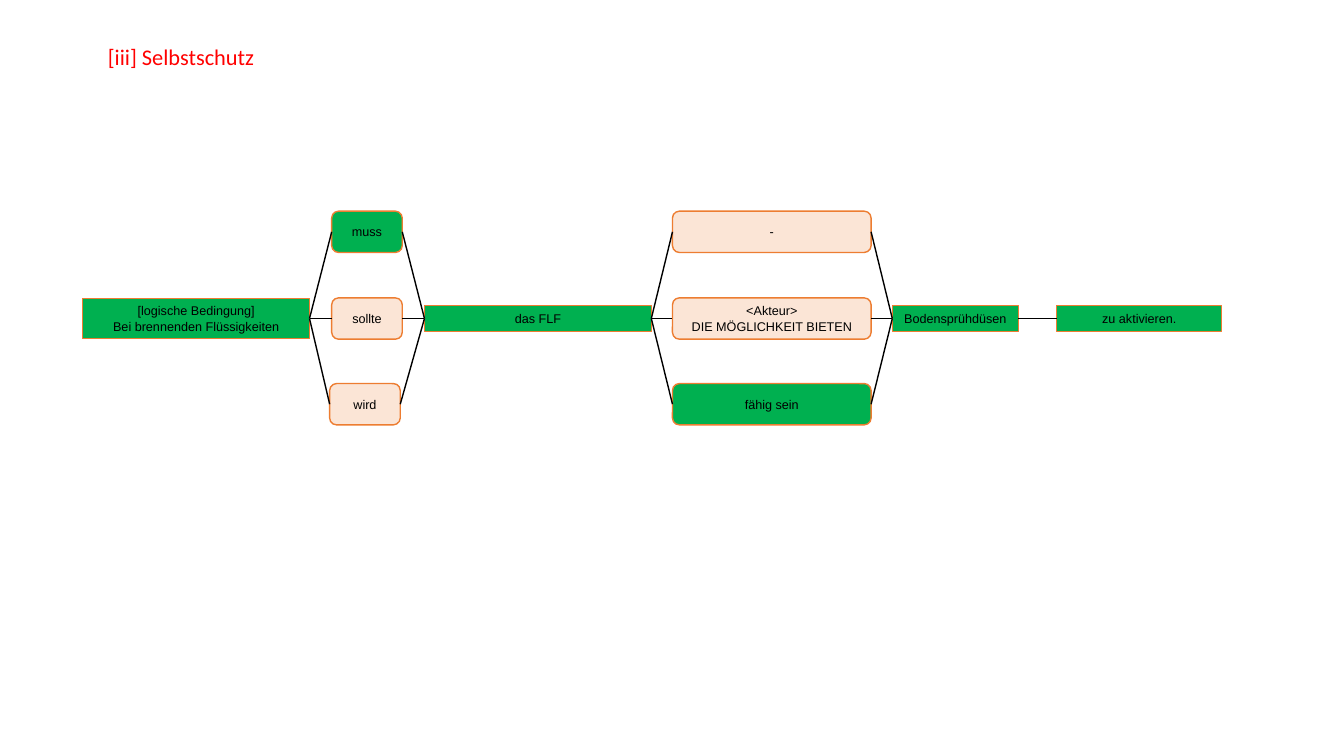
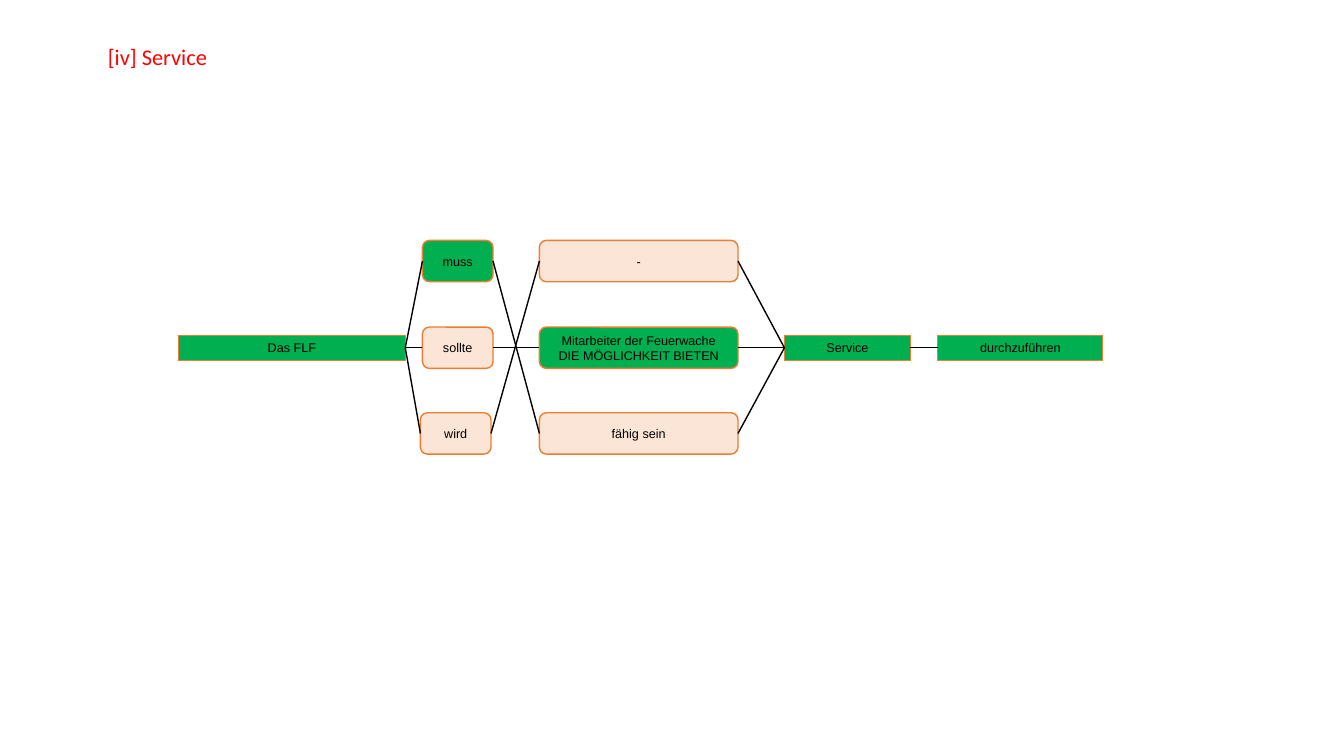
"""Build two sentence-template diagrams for requirements."""
from itertools import product
from lxml import etree
from pptx import Presentation
from pptx.dml.color import RGBColor
from pptx.enum import shapes, text
from pptx.oxml import ns
from pptx.util import Inches, Pt

GREEN, PEACH, ORANGE, BLACK, RED = "00B050", "FBE5D6", "ED7D31", "000000", "FF0000"
ROWS = (-0.86, 0, 0.85)
HIGH = 0.41
TITLE = dict(left=0.92, top=0.4, width=11.5, height=0.35)
HEAD = dict(name="Calibri", size=Pt(16), bold=False)
BODY = dict(name="Arial", size=Pt(9))
MODAL = ("muss", "sollte", "wird")

SLIDES = [
    dict(title="[iii] Selbstschutz", axis=3.16, steps=[
        dict(left=0.82, width=2.25, high=0.4,
             words=["[logische Bedingung]\nBei brennenden Flüssigkeiten"]),
        dict(left=3.29, width=0.7, words=MODAL, pick=0, shift=-0.02),
        dict(left=4.21, width=2.25, words=["das FLF"]),
        dict(left=6.67, width=1.97, pick=2,
             words=["-", "<Akteur>\nDIE MÖGLICHKEIT BIETEN", "fähig sein"]),
        dict(left=8.85, width=1.25, words=["Bodensprühdüsen"]),
        dict(left=10.48, width=1.64, words=["zu aktivieren."]),
    ]),
    dict(title="[iv] Service", axis=3.45, steps=[
        dict(left=1.77, width=2.25, words=["Das FLF"]),
        dict(left=4.19, width=0.7, words=MODAL, pick=0, shift=-0.02),
        dict(left=5.35, width=1.97, pick=1,
             words=["-", "Mitarbeiter der Feuerwache\nDIE MÖGLICHKEIT BIETEN", "fähig sein"]),
        dict(left=7.78, width=1.25, words=["Service"]),
        dict(left=9.3, width=1.64, words=["durchzuführen"]),
    ]),
]


def paint(part, shade):
    """Set a colour on a font, or on a fill made solid."""
    if hasattr(part, "solid"):
        part.solid()
        part = part.fore_color
    else:
        part = part.color
    part.rgb = RGBColor.from_string(shade)


def write(frame, words, style, shade, align):
    """Fill a text frame with formatted paragraphs."""
    frame.text = words
    frame.word_wrap = True
    frame.auto_size = text.MSO_AUTO_SIZE.NONE
    frame.vertical_anchor = text.MSO_ANCHOR.MIDDLE
    for para in frame.paragraphs:
        para.alignment = align
        for run in para.runs:
            for key, value in style.items():
                setattr(run.font, key, value)
            paint(run.font, shade)


def box(slide, kind, words, place, shade, weight):
    """Add one labelled box."""
    item = slide.shapes.add_shape(kind, *map(Inches, place))
    item.shadow.inherit = False
    paint(item.fill, shade)
    paint(item.line.fill, ORANGE)
    item.line.width = Pt(weight)
    write(item.text_frame, words, BODY, BLACK, text.PP_ALIGN.CENTER)
    return item


def column(slide, axis, step):
    """Add a single box, or a stack of three choices, on the axis."""
    left, width, words = step["left"], step["width"], step["words"]
    if len(words) == 1:
        high = step.get("high", 0.25)
        return [box(slide, shapes.MSO_SHAPE.RECTANGLE, words[0],
                    (left, axis - high / 2, width, high), GREEN, 0.75)]
    items = []
    for row, (word, drop) in enumerate(zip(words, ROWS)):
        move = step.get("shift", 0) if row == 2 else 0
        place = (left + move, axis + drop - HIGH / 2, width, HIGH)
        shade = GREEN if row == step["pick"] else PEACH
        items.append(box(slide, shapes.MSO_SHAPE.ROUNDED_RECTANGLE, word, place, shade, 1))
    return items


def link(slide, start, end):
    """Join the right side of one box to the left side of another."""
    line = slide.shapes.add_connector(shapes.MSO_CONNECTOR.STRAIGHT, 0, 0, 0, 0)
    line.begin_connect(start, 3)
    line.end_connect(end, 1)
    paint(line.line.fill, BLACK)
    line.line.width = Pt(1)
    etree.SubElement(line._element.spPr, ns.qn("a:effectLst"))


def build(deck, data):
    """Add one slide with its title and sentence diagram."""
    slide = deck.slides.add_slide(deck.slide_layouts[5])
    title = slide.shapes.title
    for key, value in TITLE.items():
        setattr(title, key, Inches(value))
    write(title.text_frame, data["title"], HEAD, RED, text.PP_ALIGN.LEFT)
    title.text_frame.margin_left = Inches(0.15)
    title.text_frame.paragraphs[0].line_spacing = 0.9
    stacks = [column(slide, data["axis"], step) for step in data["steps"]]
    for now, after in zip(stacks, stacks[1:]):
        crossed = len(now) > 1 and len(after) > 1
        pairs = zip(now, reversed(after)) if crossed else product(now, after)
        for start, end in pairs:
            link(slide, start, end)


def main():
    """Build and save the deck."""
    deck = Presentation()
    deck.slide_width, deck.slide_height = Inches(13.33), Inches(7.5)
    for data in SLIDES:
        build(deck, data)
    deck.save("out.pptx")


if __name__ == "__main__":
    main()
